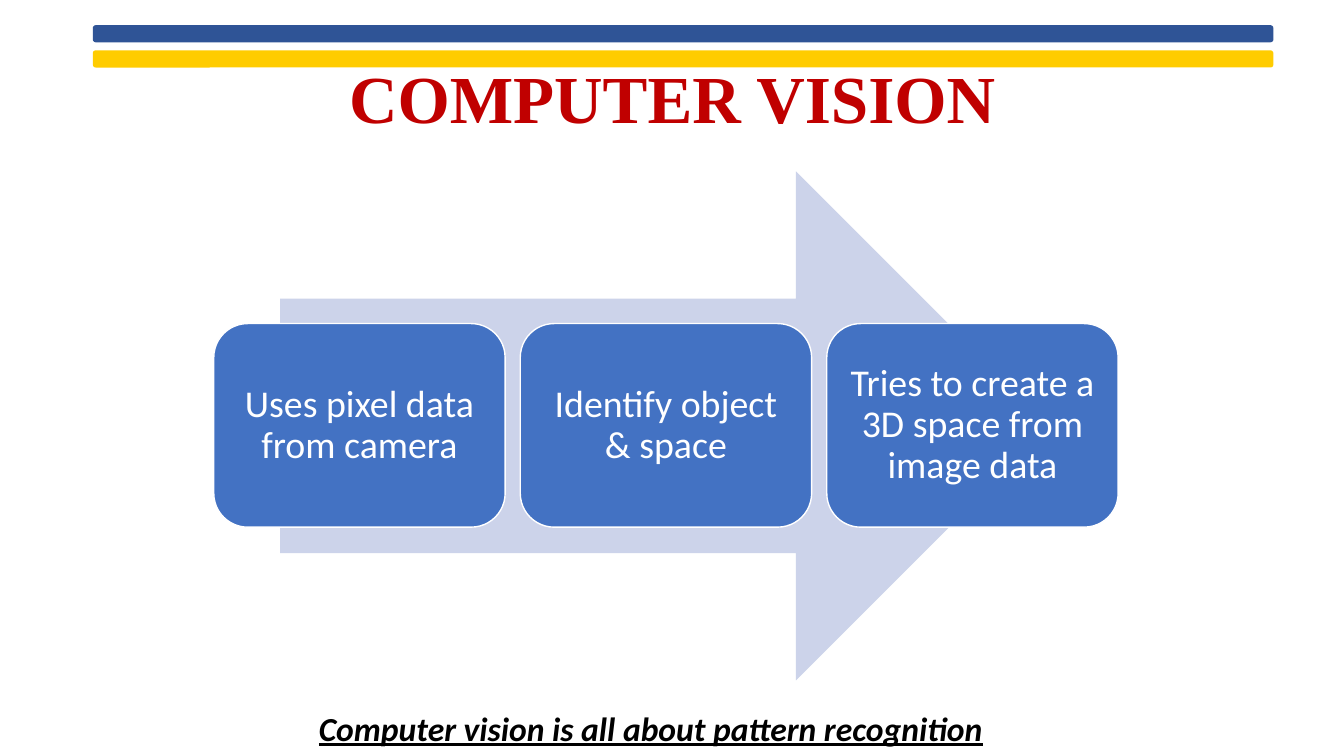
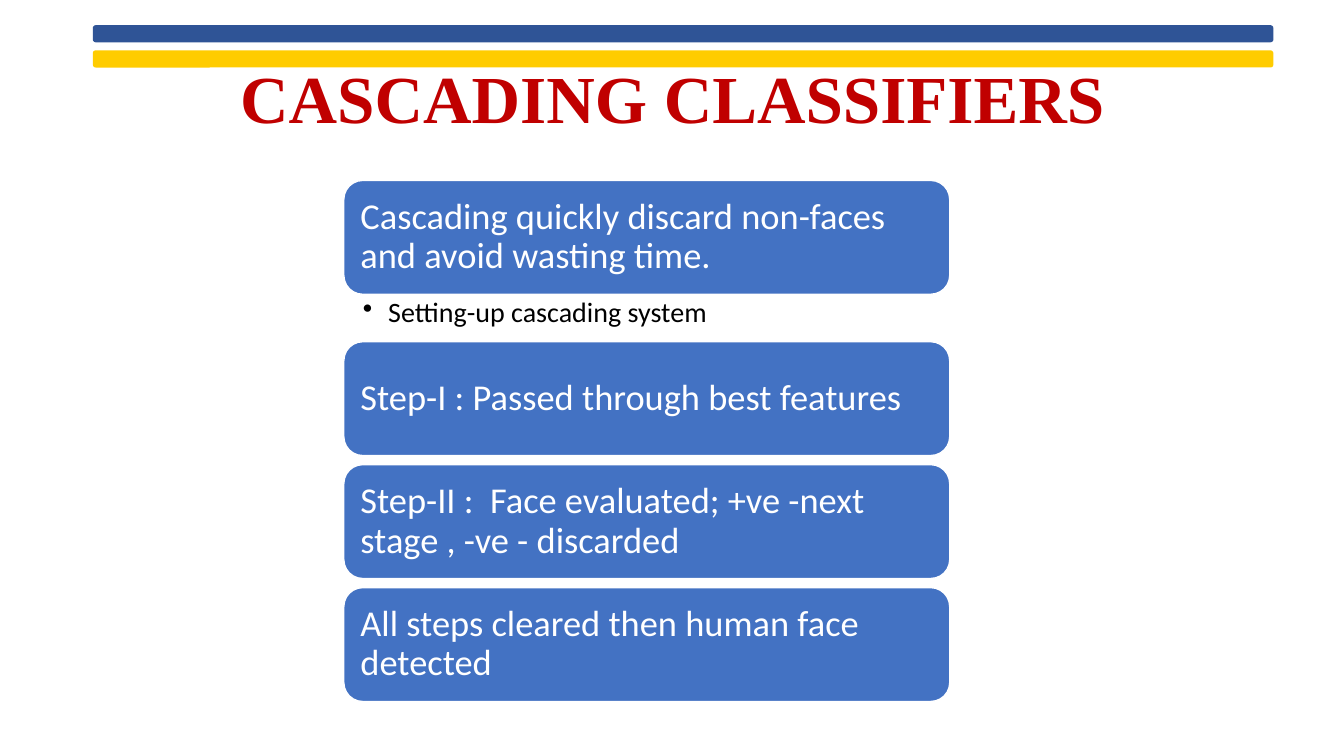
from dataclasses import dataclass

from lxml import etree
from pptx import Presentation
from pptx.dml import color
from pptx.enum import shapes, text
from pptx.oxml import ns
from pptx.util import Pt

EMU_PER_PX = 9144


@dataclass(frozen=True)
class Theme:
    blue_band: str = "2F5496"
    yellow_band: str = "FFCC00"
    title: str = "C00000"
    card: str = "4372C3"
    arrow: str = "CCD3EA"
    white: str = "FFFFFF"
    black: str = "000000"
    title_font: str = "Times New Roman"
    body_font: str = "Calibri"
    title_size: int = 48
    card_size: int = 27
    step_size: int = 26
    note_size: int = 24
    detail_size: int = 20


@dataclass(frozen=True)
class Box:
    left: int
    top: int
    width: int
    height: int

    def emu(self) -> tuple[int, ...]:
        return tuple(
            value * EMU_PER_PX
            for value in (self.left, self.top, self.width, self.height)
        )


@dataclass(frozen=True)
class Band:
    top: int
    fill: str


@dataclass(frozen=True)
class Step:
    label: str
    detail: str = ""


THEME = Theme()
BANDS = (Band(25, THEME.blue_band), Band(50, THEME.yellow_band))
TITLE_BOX = Box(92, 46, 1150, 110)

VISION_CARDS = (
    "Uses pixel data from camera",
    "Identify object & space",
    "Tries to create a 3D space from image data",
)
FIRST_CARD = Box(212, 321, 289, 202)
CARD_GAP = 15

CASCADE_STEPS = (
    Step(
        "Cascading quickly discard non-faces and avoid wasting time.",
        "Setting-up cascading system",
    ),
    Step("Step-I : Passed through best features"),
    Step("Step-II :  Face evaluated; +ve -next stage , -ve - discarded"),
    Step("All steps cleared then human face detected"),
)
FIRST_STEP = Box(341, 179, 601, 113)
STEP_GAP = 9
DETAIL_HEIGHT = 47


def rgb(value: str) -> color.RGBColor:
    return color.RGBColor.from_string(value)


def add_bullet(paragraph, indent: int) -> None:
    properties = paragraph._p.get_or_add_pPr()
    properties.set("marL", str(indent * EMU_PER_PX))
    properties.set("indent", str(-indent * EMU_PER_PX))
    bullet = etree.SubElement(properties, ns.qn("a:buChar"))
    bullet.set("char", "•")


def write_text(
    shape,
    content: str,
    *,
    size: int,
    ink: str,
    font: str = THEME.body_font,
    bold: bool = False,
    italic: bool = False,
    underline: bool = False,
    align=text.PP_ALIGN.LEFT,
    anchor=text.MSO_ANCHOR.MIDDLE,
    insets: tuple[int, int, int, int] = (10, 5, 10, 5),
    spacing: float = 0.9,
    bullet_indent: int = 0,
) -> None:
    frame = shape.text_frame
    frame.auto_size = text.MSO_AUTO_SIZE.NONE
    frame.word_wrap = True
    frame.vertical_anchor = anchor
    (
        frame.margin_left,
        frame.margin_top,
        frame.margin_right,
        frame.margin_bottom,
    ) = (inset * EMU_PER_PX for inset in insets)
    paragraph = frame.paragraphs[0]
    if bullet_indent:
        add_bullet(paragraph, bullet_indent)
    paragraph.alignment = align
    paragraph.line_spacing = spacing
    run = paragraph.add_run()
    run.text = content
    run.font.name = font
    run.font.size = Pt(size)
    run.font.color.rgb = rgb(ink)
    run.font.bold = bold
    run.font.italic = italic
    run.font.underline = underline


def add_text(slide, box: Box, content: str, **style) -> None:
    write_text(slide.shapes.add_textbox(*box.emu()), content, **style)


def add_block(
    slide,
    box: Box,
    fill: str,
    kind=shapes.MSO_SHAPE.ROUNDED_RECTANGLE,
    outline: str = "",
):
    shape = slide.shapes.add_shape(kind, *box.emu())
    shape.shadow.inherit = False
    shape.fill.solid()
    shape.fill.fore_color.rgb = rgb(fill)
    if outline:
        shape.line.color.rgb = rgb(outline)
        shape.line.width = Pt(1)
    else:
        shape.line.fill.background()
    return shape


def add_card(slide, box: Box, label: str, size: int, align) -> None:
    card = add_block(slide, box, THEME.card, outline=THEME.white)
    write_text(
        card, label, size=size, ink=THEME.white, align=align, insets=(11, 11, 11, 11)
    )


def add_titled_slide(presentation, title: str):
    slide = presentation.slides.add_slide(presentation.slide_layouts[6])
    add_text(
        slide,
        TITLE_BOX,
        title,
        size=THEME.title_size,
        ink=THEME.title,
        font=THEME.title_font,
        bold=True,
        align=text.PP_ALIGN.CENTER,
    )
    for band in BANDS:
        add_block(slide, Box(92, band.top, 1171, 17), band.fill)
    return slide


def build_vision_slide(presentation) -> None:
    slide = add_titled_slide(presentation, "COMPUTER VISION")
    add_block(
        slide,
        Box(278, 170, 764, 505),
        THEME.arrow,
        kind=shapes.MSO_SHAPE.RIGHT_ARROW,
    )
    for index, label in enumerate(VISION_CARDS):
        left = FIRST_CARD.left + index * (FIRST_CARD.width + CARD_GAP)
        box = Box(left, FIRST_CARD.top, FIRST_CARD.width, FIRST_CARD.height)
        add_card(slide, box, label, THEME.card_size, text.PP_ALIGN.CENTER)
    add_text(
        slide,
        Box(174, 697, 943, 50),
        "Computer vision is all about pattern recognition",
        size=THEME.note_size,
        ink=THEME.black,
        bold=True,
        italic=True,
        underline=True,
        align=text.PP_ALIGN.CENTER,
        anchor=text.MSO_ANCHOR.TOP,
        spacing=1.0,
    )


def build_cascade_slide(presentation) -> None:
    slide = add_titled_slide(presentation, "CASCADING CLASSIFIERS")
    left, width, height = FIRST_STEP.left, FIRST_STEP.width, FIRST_STEP.height
    top = FIRST_STEP.top
    for step in CASCADE_STEPS:
        box = Box(left, top, width, height)
        add_card(slide, box, step.label, THEME.step_size, text.PP_ALIGN.LEFT)
        top += height
        if step.detail:
            add_text(
                slide,
                Box(left, top, width, DETAIL_HEIGHT),
                step.detail,
                size=THEME.detail_size,
                ink=THEME.black,
                anchor=text.MSO_ANCHOR.TOP,
                insets=(19, 4, 20, 4),
                bullet_indent=25,
            )
            top += DETAIL_HEIGHT
        else:
            top += STEP_GAP


def main() -> None:
    presentation = Presentation()
    presentation.slide_width = 1333 * EMU_PER_PX
    presentation.slide_height = 750 * EMU_PER_PX
    build_vision_slide(presentation)
    build_cascade_slide(presentation)
    presentation.save("out.pptx")


if __name__ == "__main__":
    main()
